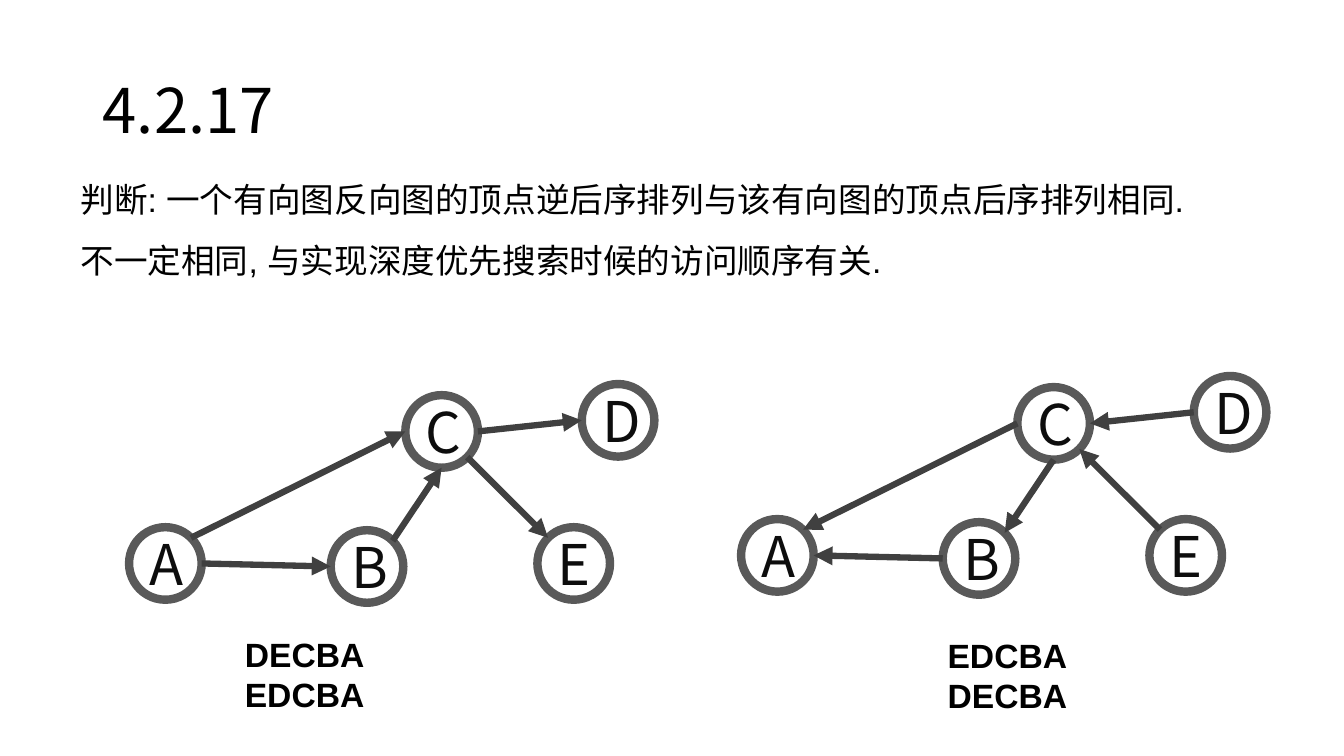
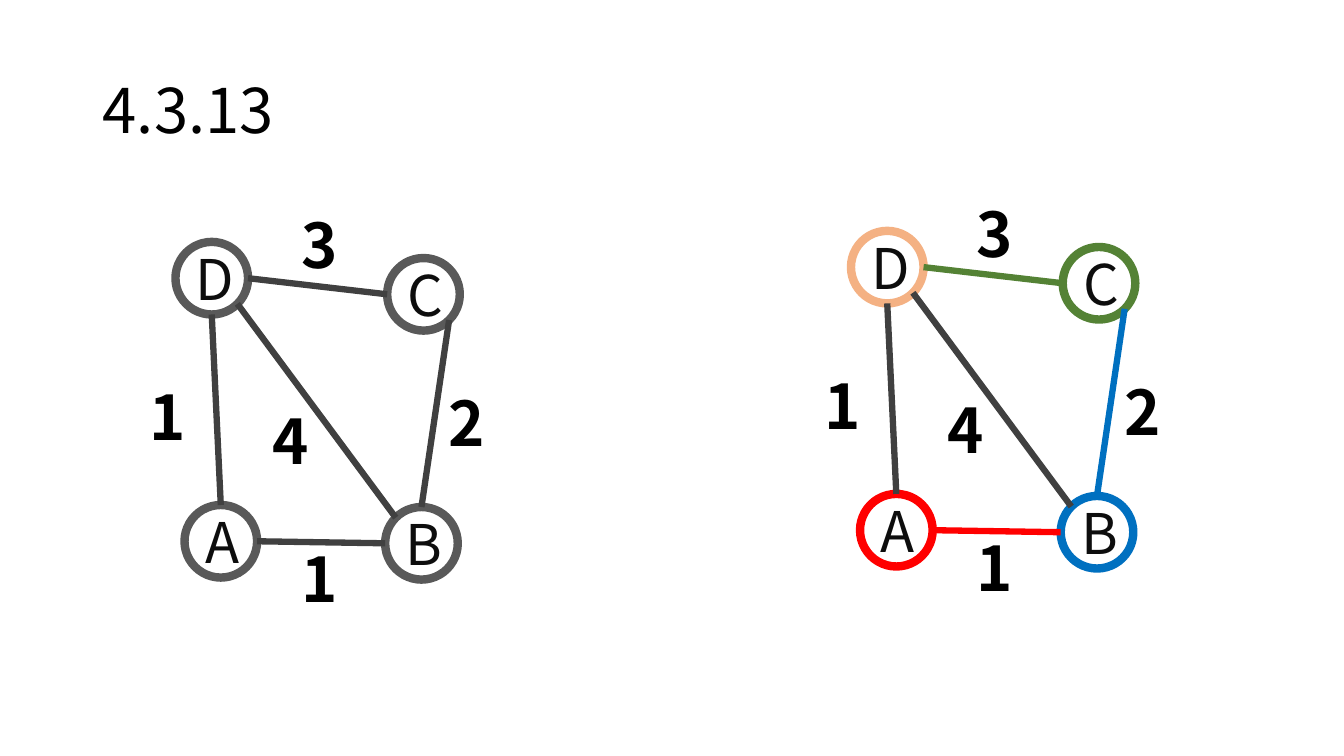
import pptx
import pptx.util
import pptx.dml.color
import pptx.enum.shapes
import pptx.enum.text
import pptx.oxml.ns
import lxml.etree

Inches, Pt = pptx.util.Inches, pptx.util.Pt

# Shared style
COLORS = {"text": "000000", "letter": "0D0D0D", "ring": "595959", "edge": "404040",
          "red": "FF0000", "blue": "0070C0", "green": "548235", "peach": "F4B183"}
CJK, LATIN = "Noto Sans CJK SC", "Arial"
NODE = 0.72

# Content: digraph and its reverse
TITLE_1 = "4.2.17"
STATEMENT = ["判断: 一个有向图反向图的顶点逆后序排列与该有向图的顶点后序排列相同.",
             "不一定相同, 与实现深度优先搜索时候的访问顺序有关."]
DIGRAPH = {"A": (1.28, 5.23), "B": (3.28, 5.26), "C": (4.02, 3.92),
           "E": (5.33, 5.23), "D": (5.77, 3.81)}
# Each edge: start node, side it leaves, end node, side it meets
ARCS = [("B", "top right", "C", "bottom"), ("A", "right", "B", "left"),
        ("A", "top right", "C", "left"), ("C", "bottom right", "E", "top left"),
        ("C", "right", "D", "left")]
REVERSE_SHIFT = (6.07, -0.08)
ORDERS = [((2.33, 6.24), ["DECBA", "EDCBA"]), ((9.3, 6.25), ["EDCBA", "DECBA"])]

# Content: weighted graph, plain and coloured
TITLE_2 = "4.3.13"
WEIGHTED = {"A": (1.83, 5.01), "B": (3.82, 5.03), "C": (3.84, 2.56), "D": (1.74, 2.4)}
LINKS = [("D", "right", "C", "left"), ("C", "bottom right", "B", "top"),
         ("A", "right", "B", "left"), ("D", "bottom", "A", "top"),
         ("D", "bottom right", "B", "top left")]
WEIGHTS = [("1", 2.89, 5.32), ("1", 1.38, 3.71), ("2", 4.35, 3.77),
           ("3", 2.89, 2.0), ("4", 2.6, 3.95)]
COLORED_SHIFT = (6.7, -0.11)
NODE_COLORS = {"A": "red", "B": "blue", "C": "green", "D": "peach"}
LINK_COLORS = {"DC": "green", "CB": "blue", "AB": "red"}


def rgb(name):
    return pptx.dml.color.RGBColor.from_string(COLORS[name])


def style(p, size, font, color="text", bold=False):
    p.font.size, p.font.name, p.font.bold = Pt(size), font, bold
    p.font.color.rgb = rgb(color)


def add_text(s, box, lines, size, font, bold=False, spacing=1.0):
    tf = s.shapes.add_textbox(*map(Inches, box)).text_frame
    tf.word_wrap = True
    for i, line in enumerate(lines):
        p = tf.paragraphs[0] if i == 0 else tf.add_paragraph()
        p.text, p.line_spacing = line, spacing
        style(p, size, font, bold=bold)
    return tf


def add_slide(title):
    s = prs.slides.add_slide(prs.slide_layouts[6])
    tf = add_text(s, (0.92, 0.4, 3.55, 1.45), [title], 44, CJK, spacing=0.9)
    tf.vertical_anchor = pptx.enum.text.MSO_ANCHOR.MIDDLE
    return s


def add_node(s, letter, x, y, color):
    sp = s.shapes.add_shape(pptx.enum.shapes.MSO_SHAPE.OVAL,
                            *map(Inches, (x, y, NODE, NODE)))
    sp.shadow.inherit = False
    sp.fill.background()
    sp.line.color.rgb, sp.line.width = rgb(color), Pt(6)
    tf = sp.text_frame
    tf.vertical_anchor = pptx.enum.text.MSO_ANCHOR.MIDDLE
    p = tf.paragraphs[0]
    p.text, p.alignment = letter, pptx.enum.text.PP_ALIGN.CENTER
    style(p, 40, CJK, "letter")


def rim_point(corner, side):
    """Point on a node's circle facing the named side."""
    dx = ("right" in side) - ("left" in side)
    dy = ("bottom" in side) - ("top" in side)
    reach = NODE / 2 / (dx * dx + dy * dy) ** 0.5
    return corner[0] + NODE / 2 + dx * reach, corner[1] + NODE / 2 + dy * reach


def add_edge(s, start, end, color, arrow):
    c = s.shapes.add_connector(pptx.enum.shapes.MSO_CONNECTOR.STRAIGHT,
                               *map(Inches, start + end))
    c.line.color.rgb, c.line.width = rgb(color), Pt(4.5)
    qn = pptx.oxml.ns.qn
    if arrow:
        lxml.etree.SubElement(c.line._get_or_add_ln(), qn("a:tailEnd"), type="triangle")
    lxml.etree.SubElement(c._element.spPr, qn("a:effectLst"))


def add_graph(s, nodes, edges, shift=(0, 0), arrow=False, backward=False,
              node_colors={}, edge_colors={}):
    placed = {n: (x + shift[0], y + shift[1]) for n, (x, y) in nodes.items()}
    for n, (x, y) in placed.items():
        add_node(s, n, x, y, node_colors.get(n, "ring"))
    for a, a_side, b, b_side in edges:
        start, end = rim_point(placed[a], a_side), rim_point(placed[b], b_side)
        if backward:
            start, end = end, start
        add_edge(s, start, end, edge_colors.get(a + b, "edge"), arrow)


prs = pptx.Presentation()
prs.slide_width, prs.slide_height = Inches(13.33), Inches(7.5)

# Slide 1: digraph beside its reverse
s = add_slide(TITLE_1)
add_text(s, (0.7, 1.53, 13.08, 1.31), STATEMENT, 24, LATIN, spacing=1.5)
add_graph(s, DIGRAPH, ARCS, arrow=True)
add_graph(s, DIGRAPH, ARCS, REVERSE_SHIFT, arrow=True, backward=True)
for (x, y), lines in ORDERS:
    add_text(s, (x, y, 1.81, 0.91), lines, 24, LATIN, bold=True)

# Slide 2: weighted graph, plain then coloured
s = add_slide(TITLE_2)
for shift, node_colors, link_colors in [((0, 0), {}, {}),
                                        (COLORED_SHIFT, NODE_COLORS, LINK_COLORS)]:
    add_graph(s, WEIGHTED, LINKS, shift, node_colors=node_colors, edge_colors=link_colors)
    for weight, x, y in WEIGHTS:
        add_text(s, (x + shift[0], y + shift[1], 1.36, 0.84), [weight], 44, CJK, bold=True)

prs.save("out.pptx")
